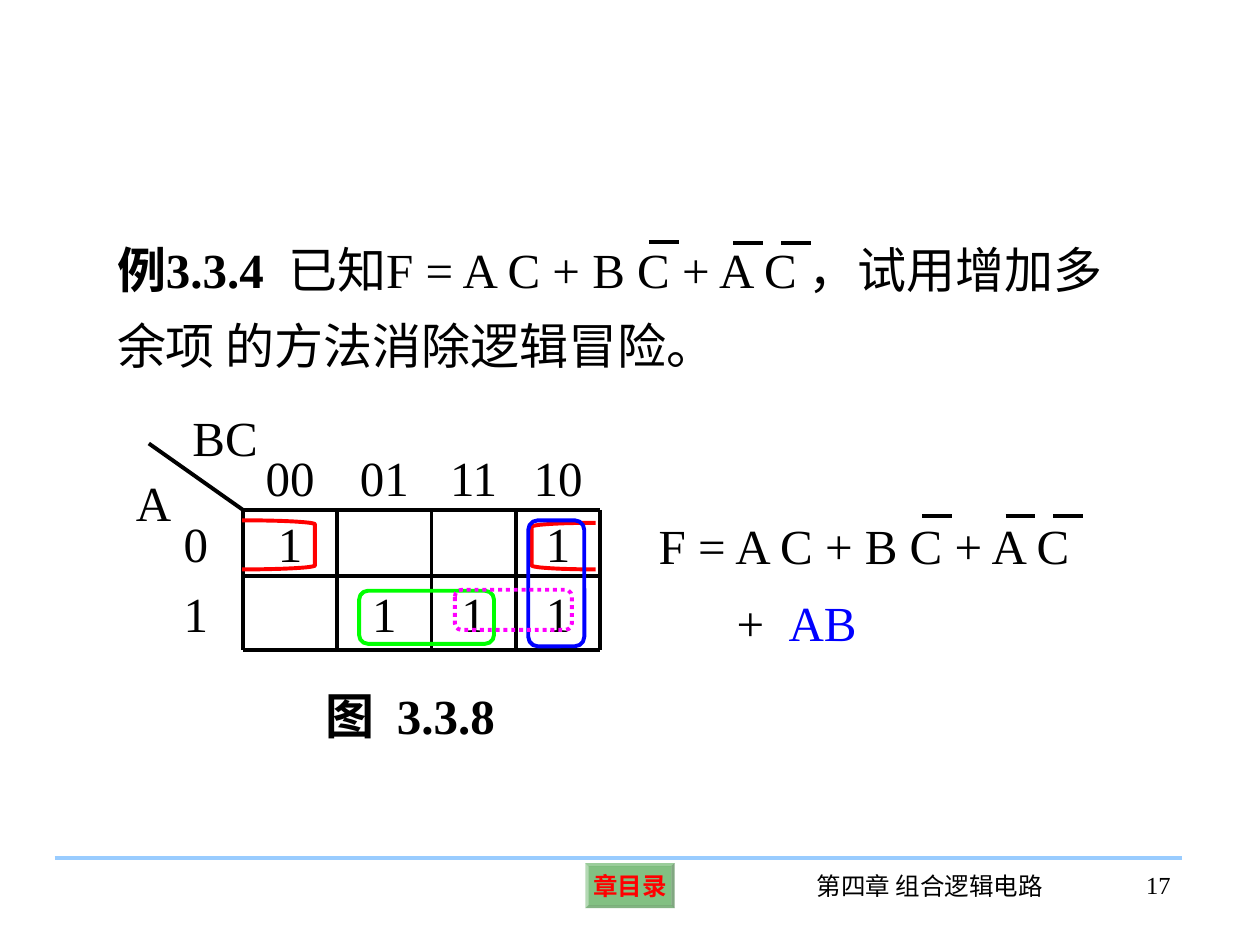
from math import cos, pi, sin

from lxml.etree import SubElement
from pptx import Presentation
from pptx.dml.color import RGBColor
from pptx.enum.dml import MSO_LINE as Dash
from pptx.enum.shapes import MSO_CONNECTOR as Conn, MSO_SHAPE as Kind
from pptx.enum.text import MSO_ANCHOR as Anchor, PP_ALIGN as Align
from pptx.oxml.ns import qn
from pptx.util import Cm, Pt

FONT = "Times New Roman"
BLACK = RGBColor(0, 0, 0)
RED = RGBColor(255, 0, 0)
BLUE = RGBColor(0, 0, 255)
LIME = RGBColor(0, 255, 0)
PINK = RGBColor(255, 0, 255)
GREEN = RGBColor(0, 128, 0)
SKY = RGBColor(0x99, 0xCC, 0xFF)

# Karnaugh map: column and row edges in cm, headings included
COLS = [3, 4.9, 6.8, 8.7, 10.4, 12.1]
ROWS = [8.94, 10.28, 11.62, 13.1]
MAP = [
    ["", "00", "01", "11", "10"],
    ["0", "1", "", "", "1"],
    ["1", "", "1", "1", "1"],
]


def style(run, size=28, color=BLACK, bold=False):
    font = run.font
    font.name, font.size, font.bold = FONT, Pt(size), bold
    font.color.rgb = color


def fill_text(frame, parts, size=28, align=Align.LEFT, pad=(0.25, 0.13)):
    """Write (text, colour, bold) parts into one paragraph."""
    frame.margin_left = frame.margin_right = Cm(pad[0])
    frame.margin_top = frame.margin_bottom = Cm(pad[1])
    para = frame.paragraphs[0]
    para.alignment = align
    for words, color, bold in parts:
        head, *rest = words.split("\v")
        runs = [head]
        for i, line in enumerate(runs + rest):
            if i:
                para.add_line_break()
            run = para.add_run()
            run.text = line
            style(run, size, color, bold)
    return para


def add_text(slide, box, parts, **opts):
    frame = slide.shapes.add_textbox(*map(Cm, box)).text_frame
    frame.word_wrap = True
    if isinstance(parts, str):
        parts = [(parts, BLACK, False)]
    fill_text(frame, parts, **opts)
    return frame


def add_line(slide, x1, y1, x2, y2, color=BLACK):
    line = slide.shapes.add_connector(Conn.STRAIGHT, *map(Cm, (x1, y1, x2, y2)))
    line.line.color.rgb, line.line.width = color, Pt(2.25)
    SubElement(line._element.spPr, qn("a:effectLst"))


def add_bars(slide, lefts, y):
    """Negation bars above letters."""
    for x in lefts:
        add_line(slide, x, y, x + 0.6, y)


def outline(shape, color, dash=None):
    shape.shadow.inherit = False
    shape.fill.background()
    shape.line.color.rgb, shape.line.width = color, Pt(2.25)
    if dash:
        shape.line.dash_style = dash


def add_loop(slide, box, color, dash=None):
    loop = slide.shapes.add_shape(Kind.ROUNDED_RECTANGLE, *map(Cm, box))
    loop.adjustments[0] = 0.17
    outline(loop, color, dash)


def add_hook(slide, open_x, shut_x, top, low, bend=0.08, steps=12):
    """Open half loop whose ends curve towards the closed side."""
    turns = [pi / 2 * i / steps for i in range(steps + 1)]
    curve = [(open_x + (shut_x - open_x) * sin(t), bend * (1 - cos(t)))
             for t in turns]
    dots = [(x, top + d) for x, d in curve]
    dots += [(x, low - d) for x, d in reversed(curve)]
    dots = [(Cm(x), Cm(y)) for x, y in dots]
    path = slide.shapes.build_freeform(*dots[0])
    path.add_line_segments(dots[1:], close=False)
    outline(path.convert_to_shape(), RED)


def add_button(slide, box, words):
    key = slide.shapes.add_shape(Kind.BEVEL, *map(Cm, box))
    key.adjustments[0] = 0.07
    key.shadow.inherit = False
    key.line.fill.background()
    key.fill.solid()
    key.fill.fore_color.rgb = GREEN
    tint = key._element.spPr.find(".//" + qn("a:srgbClr"))
    SubElement(tint, qn("a:alpha"), val="49000")
    frame = key.text_frame
    frame.word_wrap = False
    frame.vertical_anchor = Anchor.MIDDLE
    fill_text(frame, [(words, RED, True)], size=14, align=Align.CENTER,
              pad=(0.1, 0.1))


def add_map(slide):
    # Headings and cell values
    for r, row in enumerate(MAP):
        for c, word in enumerate(row):
            if word:
                x, y = COLS[c], ROWS[r]
                box = (x, y, COLS[c + 1] - x, ROWS[r + 1] - y)
                frame = add_text(slide, box, word, align=Align.CENTER,
                                 pad=(0.05, 0.05))
                frame.vertical_anchor = Anchor.MIDDLE
    # Grid, with the diagonal between the variable names
    add_line(slide, COLS[0], ROWS[0], COLS[1], ROWS[1])
    for x in COLS[1:]:
        add_line(slide, x, ROWS[1], x, ROWS[-1])
    for y in ROWS[1:]:
        add_line(slide, COLS[1], y, COLS[-1], y)
    add_text(slide, (2.49, 9.4, 1.14, 1.45), "A")
    add_text(slide, (3.63, 8.08, 1.9, 1.45), "BC")
    # Loops around the groups of ones
    add_hook(slide, 4.88, 6.35, 10.49, 11.48)
    add_hook(slide, 12.01, 10.72, 10.54, 11.48)
    add_loop(slide, (10.65, 10.49, 1.13, 2.54), BLUE)
    add_loop(slide, (7.24, 11.91, 2.72, 1.07), LIME)
    add_loop(slide, (9.17, 11.89, 2.36, 0.81), PINK, Dash.ROUND_DOT)


def main():
    prs = Presentation()
    prs.slide_width, prs.slide_height = Cm(25.4), Cm(19.05)
    slide = prs.slides.add_slide(prs.slide_layouts[6])

    # Footer
    add_button(slide, (11.8, 17.4, 1.8, 0.91), "章目录")
    add_line(slide, 1.1, 17.3, 23.82, 17.3, SKY)
    add_text(slide, (15.85, 17.42, 5.79, 1.27), "第四章 组合逻辑电路",
             size=14, align=Align.CENTER)
    add_text(slide, (21.67, 17.4, 2.18, 1.27), "17", size=14,
             align=Align.RIGHT)

    # Map and its caption
    add_map(slide)
    add_text(slide, (6.32, 13.69, 5.31, 1.45), [("图  3.3.8", BLACK, True)])

    # Problem
    task = add_text(slide, (2.11, 4.34, 21.03, 3.35), [
        ("例3.3.4  ", BLACK, True),
        ("已知F = A C + B C + A C ，试用增加多余项 的方法消除逻辑冒险。",
         BLACK, False)])
    task.paragraphs[0].line_spacing = 1.3
    add_bars(slide, [13.08], 4.87)
    add_bars(slide, [14.78, 15.75], 4.9)

    # Answer
    answer = add_text(slide, (13.03, 9.91, 9.8, 3.35), [
        ("F = A C + B C + A C\v+  ", BLACK, False), ("AB", BLUE, False)])
    para = answer.paragraphs[0]
    para.line_spacing = 1.3
    props = para._p.get_or_add_pPr()
    props.set("marL", str(Cm(1.57)))
    props.set("indent", str(Cm(-1.57)))
    add_bars(slide, [18.59, 20.27, 21.23], 10.41)

    prs.save("out.pptx")


if __name__ == "__main__":
    main()
